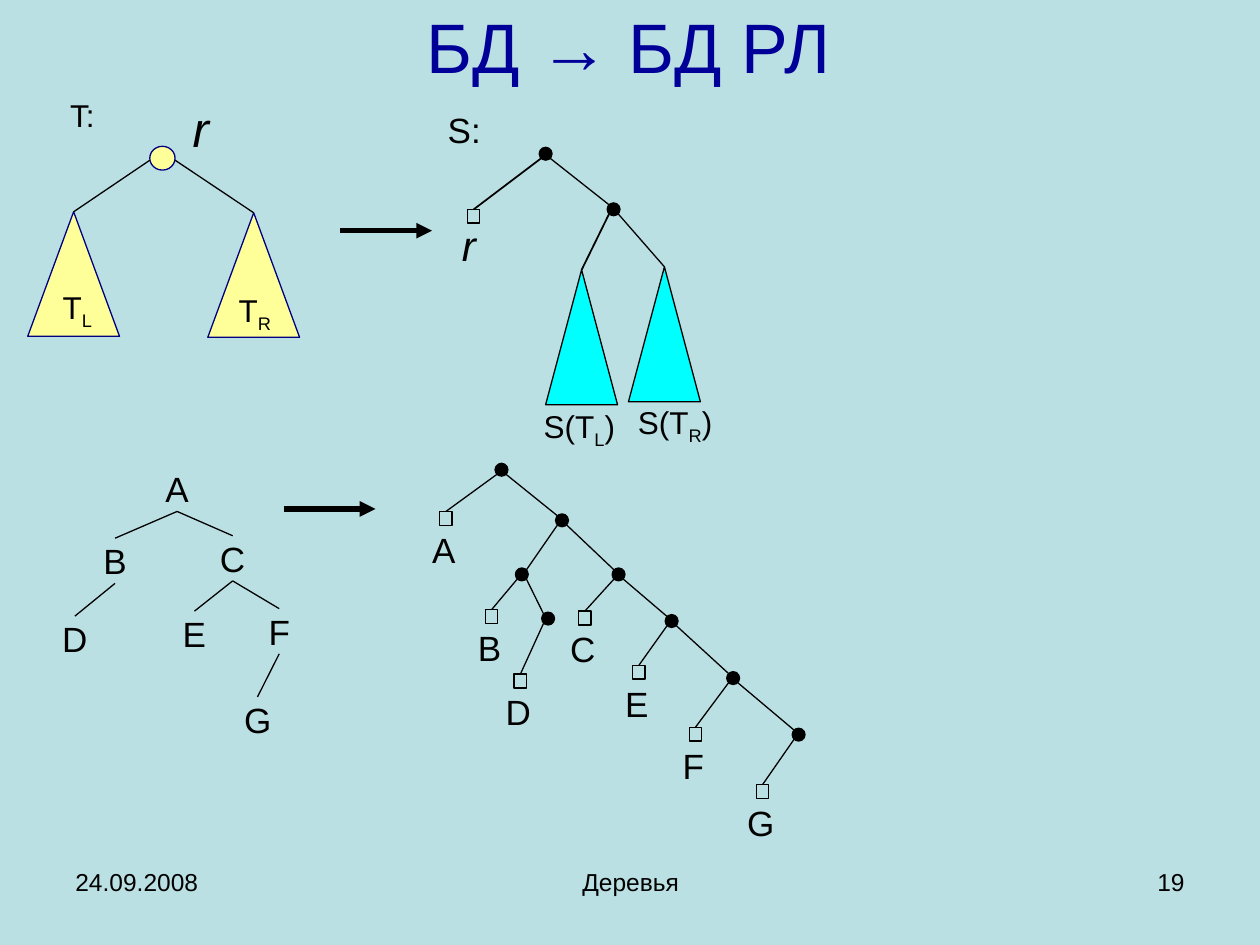
"""Build the slide on turning a binary tree into a right-leaning search tree."""
from lxml.etree import SubElement
from pptx import Presentation
from pptx.dml.color import RGBColor
from pptx.enum.shapes import MSO_CONNECTOR, MSO_SHAPE
from pptx.enum.text import MSO_ANCHOR, PP_ALIGN
from pptx.oxml.ns import qn
from pptx.util import Cm, Pt

FONT = "Arial"
BLACK, NAVY, TITLE = "000000", "000080", "000099"
YELLOW, CYAN, BACKGROUND = "FFFF99", "00FFFF", "BBE0E3"
LEFT, CENTER, RIGHT = PP_ALIGN.LEFT, PP_ALIGN.CENTER, PP_ALIGN.RIGHT
TIGHT, ROOMY = (0.05, 0.03), (0.25, 0.13)
DOT, LEAF_W, LEAF_H = 0.25, 0.25, 0.28
LETTER_W, LETTER_H = 0.64, 0.91

FOOTERS = [
    ((1.27, 17.35, 5.92, 1.32), "24.09.2008", LEFT),
    ((8.69, 17.35, 8.05, 1.32), "Деревья", CENTER),
    ((18.21, 17.35, 5.92, 1.32), "19", RIGHT),
]
LABELS = [
    ((1.24, 1.91, 0.84, 0.81), ("T:",), 18, TIGHT),
    ((1.14, 5.77, 0.84, 0.91), ("T", "L"), 18, TIGHT),
    ((4.57, 5.84, 1.14, 0.91), ("T", "R"), 18, TIGHT),
    ((8.74, 2.06, 1.24, 1.12), ("S:",), 20, ROOMY),
    ((10.69, 8.18, 1.98, 0.91), ("S(T", "L", ")"), 18, TIGHT),
    ((12.62, 8.1, 1.98, 0.91), ("S(T", "R", ")"), 18, TIGHT),
]
ROOT_LABELS = [((3.63, 1.85, 0.84, 1.45), 28), ((8.92, 4.29, 1.07, 1.27), 24)]
ARROWS = [(6.86, 4.65), (5.72, 10.26)]
ARROW_LENGTH = 1.85

ROOT = (3.02, 2.95, 0.51, 0.48)
T_SUBTREES = [(0.56, 4.27, 1.85, 2.51), (4.19, 4.29, 1.85, 2.51)]
S_SUBTREES = [(11, 5.44, 1.45, 2.72), (12.67, 5.38, 1.45, 2.72)]

SOURCE_TREE = {
    "А": (3.57, 9.4), "B": (2.32, 10.85), "C": (4.69, 10.8), "D": (1.51, 12.42),
    "E": (3.92, 12.32), "F": (5.63, 12.27), "G": (5.19, 14.05),
}
SOURCE_EDGES = ["АB", "АC", "BD", "CE", "CF", "FG"]

DOTS = {
    "s1": (11, 3.1), "s2": (12.37, 4.22),
    "a": (10.11, 9.47), "bc": (11.33, 10.49), "b": (10.52, 11.58), "d": (11.05, 12.47),
    "c": (12.47, 11.58), "e": (13.54, 12.52), "f": (14.78, 13.67), "g": (16.1, 14.81),
}
DOT_EDGES = [("s1", "s2"), ("a", "bc"), ("bc", "b"), ("bc", "c"), ("b", "d"),
             ("c", "e"), ("e", "f"), ("f", "g")]
LEAVES = [
    ("s1", "", 9.55, 4.22), ("a", "А", 8.99, 10.31), ("b", "B", 9.91, 12.29),
    ("d", "D", 10.49, 13.59), ("c", "C", 11.79, 12.32), ("e", "E", 12.88, 13.41),
    ("f", "F", 14.02, 14.66), ("g", "G", 15.37, 15.82),
]


def rgb(value):
    return RGBColor.from_string(value)


def add_text(s, box, parts, size, inset=TIGHT, align=CENTER, color=BLACK, italic=None,
             anchor=MSO_ANCHOR.TOP, wrap=True):
    sp = s.shapes.add_textbox(*map(Cm, box))
    tf = sp.text_frame
    tf.word_wrap, tf.vertical_anchor = wrap, anchor
    tf.margin_left = tf.margin_right = Cm(inset[0])
    tf.margin_top = tf.margin_bottom = Cm(inset[1])
    p = tf.paragraphs[0]
    p.alignment = align
    p.font.name, p.font.size, p.font.italic = FONT, Pt(size), italic
    p.font.color.rgb = rgb(color)
    for i, part in enumerate(parts):
        r = p.add_run()
        r.text = part
        if i == 1:
            r._r.get_or_add_rPr().set("baseline", "-25000")
    return sp


def add_letter(s, letter, x, y):
    return add_text(s, (x - LETTER_W / 2, y, LETTER_W, LETTER_H), (letter,), 20)


def add_figure(s, kind, box, fill=None, line=BLACK, width=0.75):
    sp = s.shapes.add_shape(kind, *map(Cm, box))
    sp.shadow.inherit = False
    if fill:
        sp.fill.solid()
        sp.fill.fore_color.rgb = rgb(fill)
    else:
        sp.fill.background()
    sp.line.color.rgb, sp.line.width = rgb(line), Pt(width)
    return sp


def add_line(s, start, end, width=0.75, arrow=False):
    c = s.shapes.add_connector(MSO_CONNECTOR.STRAIGHT, *map(Cm, (*start, *end)))
    c.line.color.rgb, c.line.width = rgb(BLACK), Pt(width)
    if arrow:
        SubElement(c.line._get_or_add_ln(), qn("a:tailEnd"), type="triangle")
    SubElement(c._element.spPr, qn("a:effectLst"))
    return c


def apex(box):
    return box[0] + box[2] / 2, box[1]


def dot_rim(name, toward_x, below):
    x, y = DOTS[name]
    dx = 0.09 if toward_x > x else -0.09
    return x + dx, y + (0.09 if below else -0.09)


def draw_schemes(s):
    x, y, w, h = ROOT
    add_figure(s, MSO_SHAPE.OVAL, ROOT, YELLOW, NAVY)
    for box, side in zip(T_SUBTREES, (x, x + w)):
        add_figure(s, MSO_SHAPE.ISOSCELES_TRIANGLE, box, YELLOW, NAVY)
        add_line(s, (side, y + 0.28), apex(box))
    for box, width in zip(S_SUBTREES, (1, 0.75)):
        add_figure(s, MSO_SHAPE.ISOSCELES_TRIANGLE, box, CYAN)
        add_line(s, dot_rim("s2", apex(box)[0], True), apex(box), width)


def draw_source_tree(s):
    nodes = {k: add_letter(s, k, *at) for k, at in SOURCE_TREE.items()}
    for parent, child in SOURCE_EDGES:
        c = add_line(s, SOURCE_TREE[parent], SOURCE_TREE[child])
        c.begin_connect(nodes[parent], 2)
        c.end_connect(nodes[child], 0)


def draw_search_trees(s):
    for x, y in DOTS.values():
        add_figure(s, MSO_SHAPE.OVAL, (x - DOT / 2, y - DOT / 2, DOT, DOT), BLACK, width=1)
    for a, b in DOT_EDGES:
        add_line(s, dot_rim(a, DOTS[b][0], True), dot_rim(b, DOTS[a][0], False))
    for parent, letter, x, y in LEAVES:
        leaf = add_figure(s, MSO_SHAPE.RECTANGLE, (x - LEAF_W / 2, y, LEAF_W, LEAF_H))
        c = add_line(s, dot_rim(parent, x, True), (x, y), 0.75 if letter else 1)
        c.end_connect(leaf, 0)
        if letter:
            add_letter(s, letter, x - 0.04, y + 0.31)


def main():
    prs = Presentation()
    prs.slide_width, prs.slide_height = Cm(25.4), Cm(19.05)
    s = prs.slides.add_slide(prs.slide_layouts[6])
    s.background.fill.solid()
    s.background.fill.fore_color.rgb = rgb(BACKGROUND)
    add_text(s, (1.24, 0, 22.86, 1.83), ("БД → БД РЛ",), 40, ROOMY, color=TITLE,
             anchor=MSO_ANCHOR.MIDDLE)
    draw_schemes(s)
    draw_source_tree(s)
    draw_search_trees(s)
    for box, parts, size, inset in LABELS:
        add_text(s, box, parts, size, inset)
    for box, size in ROOT_LABELS:
        add_text(s, box, ("r",), size, ROOMY, italic=True, wrap=False)
    for x, y in ARROWS:
        add_line(s, (x, y), (x + ARROW_LENGTH, y), 3, True)
    for box, text, align in FOOTERS:
        add_text(s, box, (text,), 14, ROOMY, align)
    prs.save("out.pptx")


if __name__ == "__main__":
    main()
